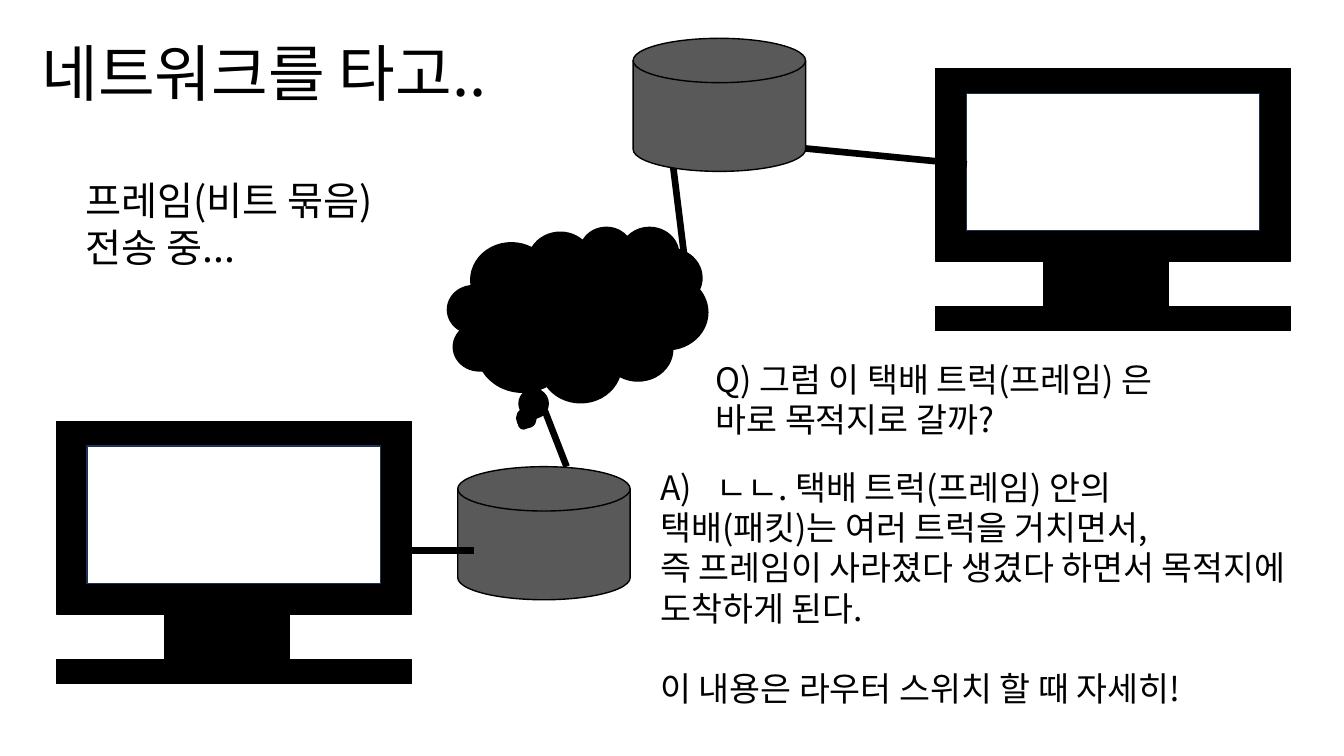
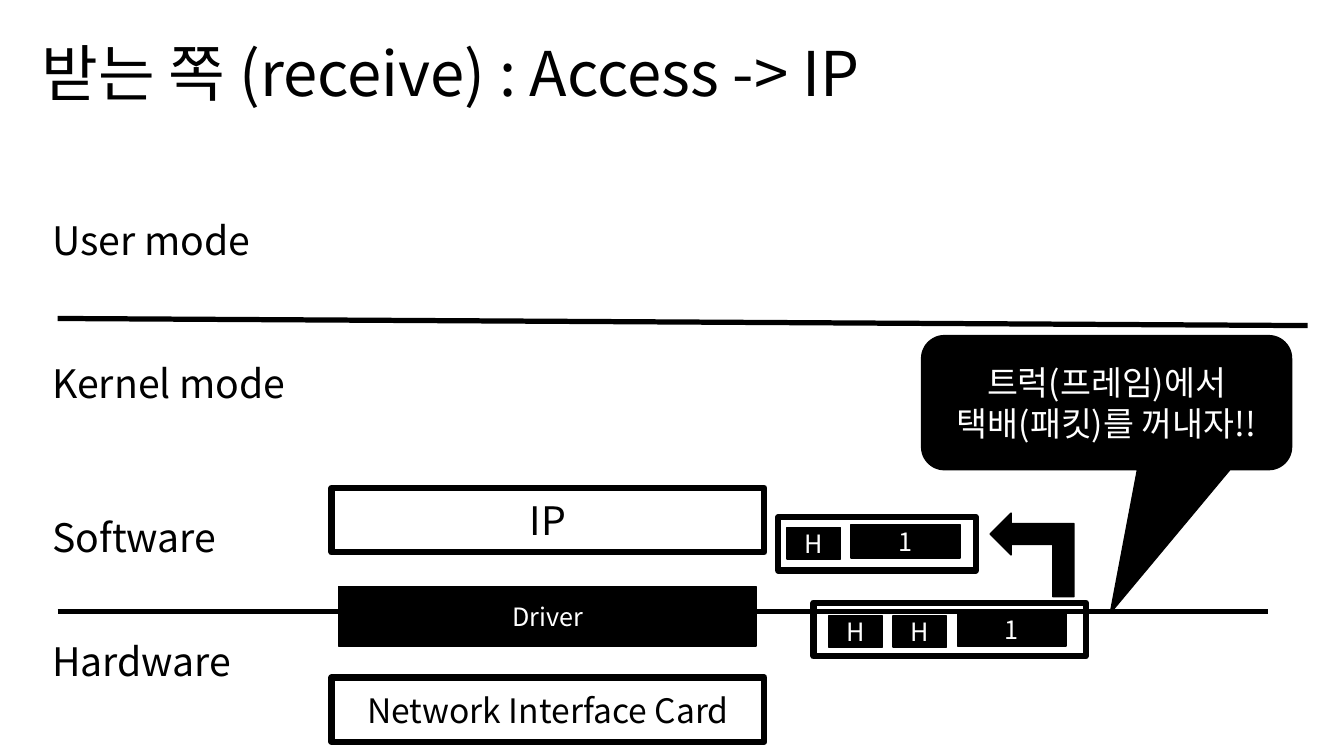
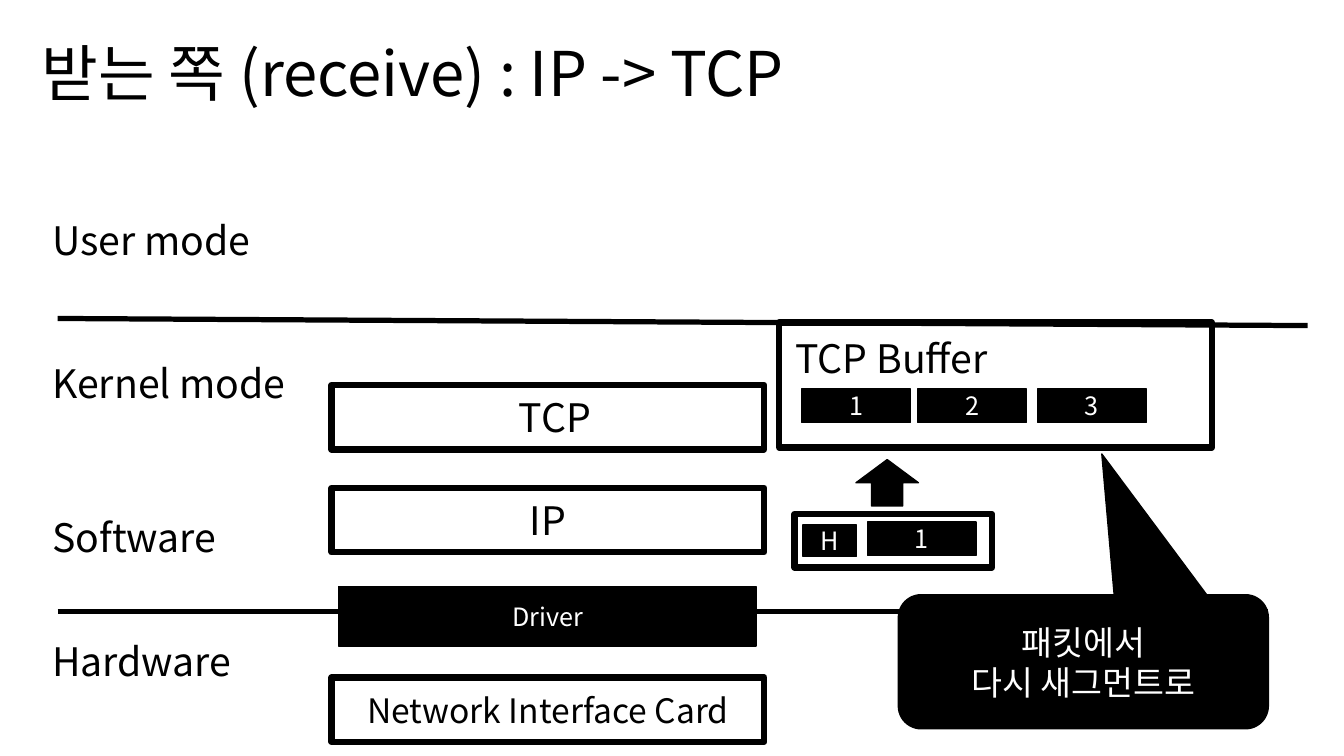
import dataclasses

import pptx
import pptx.dml.color
import pptx.enum.shapes
import pptx.enum.text
import pptx.oxml
import pptx.oxml.ns
import pptx.util

FONT = "Noto Sans CJK KR"
BLACK, WHITE, GREY, NAVY = "000000", "FFFFFF", "595959", "1E3256"
WIDTH, HEIGHT = 13.33, 7.5
LINE_HEIGHT = 1.2
HEAVY = 4.5
KIND = pptx.enum.shapes.MSO_SHAPE
ALIGN = pptx.enum.text.PP_ALIGN
ANCHOR = pptx.enum.text.MSO_ANCHOR


@dataclasses.dataclass
class Box:
    """A region in inches, divided into 100 columns and 100 rows."""
    left: float
    top: float
    width: float
    height: float

    def area(self, column, row, columns, rows):
        """Return the region that starts at a cell and spans columns and rows."""
        return Box(self.left + self.width * column / 100,
                   self.top + self.height * row / 100,
                   self.width * columns / 100, self.height * rows / 100)

    def place(self):
        """Return left, top, width and height as lengths."""
        return [pptx.util.Inches(side) for side in dataclasses.astuple(self)]


FULL = Box(0, 0, WIDTH, HEIGHT)
TITLE = FULL.area(2.33, 4, 73.07, 19.07)
LABEL_ROWS = {"User mode": 28, "Kernel mode": 46.93, "Software": 67.2, "Hardware": 83.6}


def color(value):
    """Turn a hex string into a colour."""
    return pptx.dml.color.RGBColor.from_string(value)


def write(frame, text, size=28, ink=BLACK, align=ALIGN.LEFT, anchor=ANCHOR.TOP,
          margins=(0.1, 0.1)):
    """Fill a text frame with one paragraph for each line of text."""
    frame.word_wrap = True
    frame.auto_size = pptx.enum.text.MSO_AUTO_SIZE.NONE
    frame.vertical_anchor = anchor
    frame.margin_left, frame.margin_right = [pptx.util.Inches(side) for side in margins]
    frame.margin_top = frame.margin_bottom = pptx.util.Inches(0.05)
    for index, line in enumerate(text.split("\n")):
        para = frame.add_paragraph() if index else frame.paragraphs[0]
        para.alignment = align
        para.line_spacing = pptx.util.Pt(size * LINE_HEIGHT)
        span = para.add_run()
        span.text = line
        span.font.size = pptx.util.Pt(size)
        span.font.name = FONT
        span.font.color.rgb = color(ink)
        east = pptx.oxml.parse_xml(
            f'<a:ea {pptx.oxml.ns.nsdecls("a")} typeface="{FONT}"/>')
        span.font._element.find(pptx.oxml.ns.qn("a:latin")).addnext(east)
    return frame


def add_text(page, box, text, **style):
    """Add a text box."""
    return write(page.shapes.add_textbox(*box.place()).text_frame, text, **style)


def add_shape(page, box, kind=KIND.RECTANGLE, fill=BLACK, line=BLACK, weight=1,
              text="", **style):
    """Add a preset shape, unfilled when fill is None, with optional centred text."""
    shape = page.shapes.add_shape(kind, *box.place())
    shape.shadow.inherit = False
    if fill:
        shape.fill.solid()
        shape.fill.fore_color.rgb = color(fill)
    else:
        shape.fill.background()
    shape.line.color.rgb = color(line)
    shape.line.width = pptx.util.Pt(weight)
    if text:
        write(shape.text_frame, text, align=ALIGN.CENTER, anchor=ANCHOR.MIDDLE, **style)
    return shape


def add_line(page, start, end, weight):
    """Join two cells of the page with a straight line."""
    points = [FULL.area(*cell, 0, 0) for cell in (start, end)]
    ends = [pptx.util.Inches(side) for point in points for side in (point.left, point.top)]
    line = page.shapes.add_connector(pptx.enum.shapes.MSO_CONNECTOR.STRAIGHT, *ends)
    line.line.color.rgb = color(BLACK)
    line.line.width = pptx.util.Pt(weight)
    line._element.spPr.append(
        pptx.oxml.parse_xml(f'<a:effectLst {pptx.oxml.ns.nsdecls("a")}/>'))


def add_page(deck, title):
    """Add a slide with its title."""
    page = deck.slides.add_slide(deck.slide_layouts[5])
    heading = page.shapes.title
    heading.left, heading.top, heading.width, heading.height = TITLE.place()
    write(heading.text_frame, title, size=44)
    return page


def add_monitor(page, box):
    """Draw a desktop computer inside a box."""
    for cells in ((0, 0, 100, 73.5), (30.5, 58.5, 35, 41.5), (0, 90.8, 100, 9.2)):
        add_shape(page, box.area(*cells))
    add_shape(page, box.area(8.6, 9.5, 82.7, 52.3), fill=WHITE, line=NAVY)


def add_router(page, column, row):
    """Draw a router as a disk."""
    add_shape(page, FULL.area(column, row, 12.83, 17.6), KIND.FLOWCHART_MAGNETIC_DISK,
              fill=GREY)


def add_chip(page, column, row, columns, rows, text):
    """Draw one labelled piece of data."""
    add_shape(page, FULL.area(column, row, columns, rows), text=text, size=18, ink=WHITE)


def add_payload(page, column, row, text):
    """Draw one numbered segment."""
    add_chip(page, column, row, 8.1, 4.4, text)


def add_packet(page, column, row, columns, headers, lead, drop):
    """Draw a frame holding headers followed by a segment."""
    add_shape(page, FULL.area(column, row, columns, 7.07), fill=None, weight=HEAVY)
    left, gap, header = column + lead, 0.8, 3.98
    for index in range(headers):
        add_chip(page, left + index * (header + gap), row + drop + 0.4, header, 4.13, "H")
    add_payload(page, left + headers * (header + gap), row + drop, "1")


def add_layer(page, row, text, **style):
    """Draw one outlined layer of the network stack."""
    add_shape(page, FULL.area(24.68, row, 32.18, 8.53), fill=None, weight=HEAVY,
              text=text, **style)


def add_callout(page, column, row, tail, text):
    """Draw a speech bubble whose tail ends at a given offset."""
    bubble = add_shape(page, FULL.area(column, row, 27.53, 17.73),
                       KIND.ROUNDED_RECTANGULAR_CALLOUT, text=text, size=24, ink=WHITE,
                       margins=(0.15, 0.15))
    for index, value in enumerate((*tail, 0.17)):
        bubble.adjustments[index] = value


def add_stack(page):
    """Draw the mode labels, their dividers and the layers both stacks share."""
    for label, row in LABEL_ROWS.items():
        add_text(page, FULL.area(3.15, row, 31.43, 9.6), label)
    add_line(page, (4.28, 42.13), (97.3, 43.07), 3.75)
    add_line(page, (4.28, 80.93), (94.37, 80.93), 3.75)
    add_layer(page, 64.53, "IP")
    add_shape(page, FULL.area(25.21, 77.6, 31.06, 7.87), text="Driver", size=18, ink=WHITE)
    add_layer(page, 89.6, "Network Interface Card", size=24)


def add_answer(page, box):
    """Write the lettered answer and the closing remark."""
    frame = add_text(page, box, "ㄴㄴ. 택배 트럭(프레임) 안의\n"
                     "택배(패킷)는 여러 트럭을 거치면서,\n"
                     "즉 프레임이 사라졌다 생겼다 하면서 목적지에 도착하게 된다.\n"
                     "이 내용은 라우터 스위치 할 때 자세히!", size=24)
    properties = frame.paragraphs[0]._p.get_or_add_pPr()
    indent = pptx.util.Inches(0.56)
    properties.set("marL", str(indent))
    properties.set("indent", str(-indent))
    properties.append(pptx.oxml.parse_xml(
        f'<a:buAutoNum {pptx.oxml.ns.nsdecls("a")} type="alphaUcParenR"/>'))
    frame.paragraphs[-1].space_before = pptx.util.Pt(24 * LINE_HEIGHT)


def build_network(deck):
    """Build the slide on frames crossing the network."""
    page = add_page(deck, "네트워크를 타고..")
    for column, row in ((4.2, 55.73), (69.62, 9.07)):
        add_monitor(page, FULL.area(column, row, 26.41, 34.67))
    add_router(page, 34.06, 61.73)
    add_shape(page, FULL.area(33.31, 30, 19.35, 23.2), KIND.CLOUD_CALLOUT)
    for start, end in (((50.04, 21.33), (51.09, 36.4)), ((71.94, 21.73), (53.56, 18.53)),
                       ((39.68, 50.4), (42.16, 61.73)), ((35.26, 72.8), (30.08, 72.8))):
        add_line(page, start, end, 4.75)
    add_router(page, 47.11, 5.07)
    add_text(page, FULL.area(5.63, 22.67, 29.63, 19.07), "프레임(비트 묶음)\n전송 중...")
    add_text(page, FULL.area(52.51, 46.8, 47.49, 15.33),
             "Q) 그럼 이 택배 트럭(프레임) 은\n바로 목적지로 갈까?", size=24)
    add_answer(page, FULL.area(48.39, 61.07, 48.69, 38.4))


def build_access(deck):
    """Build the slide on unpacking a frame into a packet."""
    page = add_page(deck, "받는 쪽 (receive) : Access -> IP")
    add_stack(page)
    add_packet(page, 57.91, 68.4, 14.7, headers=1, lead=0.64, drop=1)
    add_packet(page, 60.54, 79.73, 20.25, headers=2, lead=1.13, drop=1.33)
    arrow = add_shape(page, FULL.area(73.67, 67.87, 6.23, 11.07), KIND.BENT_UP_ARROW)
    arrow.rotation = 270
    add_callout(page, 68.57, 44.4, (0.01, 1.57), "트럭(프레임)에서\n택배(패킷)를 꺼내자!!")


def build_transport(deck):
    """Build the slide on turning packets back into segments."""
    page = add_page(deck, "받는 쪽 (receive) : IP -> TCP")
    add_stack(page)
    add_layer(page, 50.93, "TCP", margins=(0.24, 0.1))
    add_packet(page, 59.11, 68, 14.7, headers=1, lead=0.64, drop=1.07)
    add_callout(page, 66.84, 78.67, (0.05, -1.55), "패킷에서\n다시 새그먼트로")
    add_shape(page, FULL.area(63.69, 60.8, 4.65, 6.13), KIND.UP_ARROW)
    add_shape(page, FULL.area(57.99, 42.67, 32.18, 16.53), fill=None, weight=HEAVY)
    add_text(page, FULL.area(58.44, 43.6, 18.68, 7.6), "TCP Buffer")
    for number, column in enumerate((59.64, 68.27, 77.19), start=1):
        add_payload(page, column, 51.47, str(number))


def main():
    """Build and save the deck."""
    deck = pptx.Presentation()
    deck.slide_width = pptx.util.Inches(WIDTH)
    deck.slide_height = pptx.util.Inches(HEIGHT)
    for build in (build_network, build_access, build_transport):
        build(deck)
    deck.save("out.pptx")


if __name__ == "__main__":
    main()
